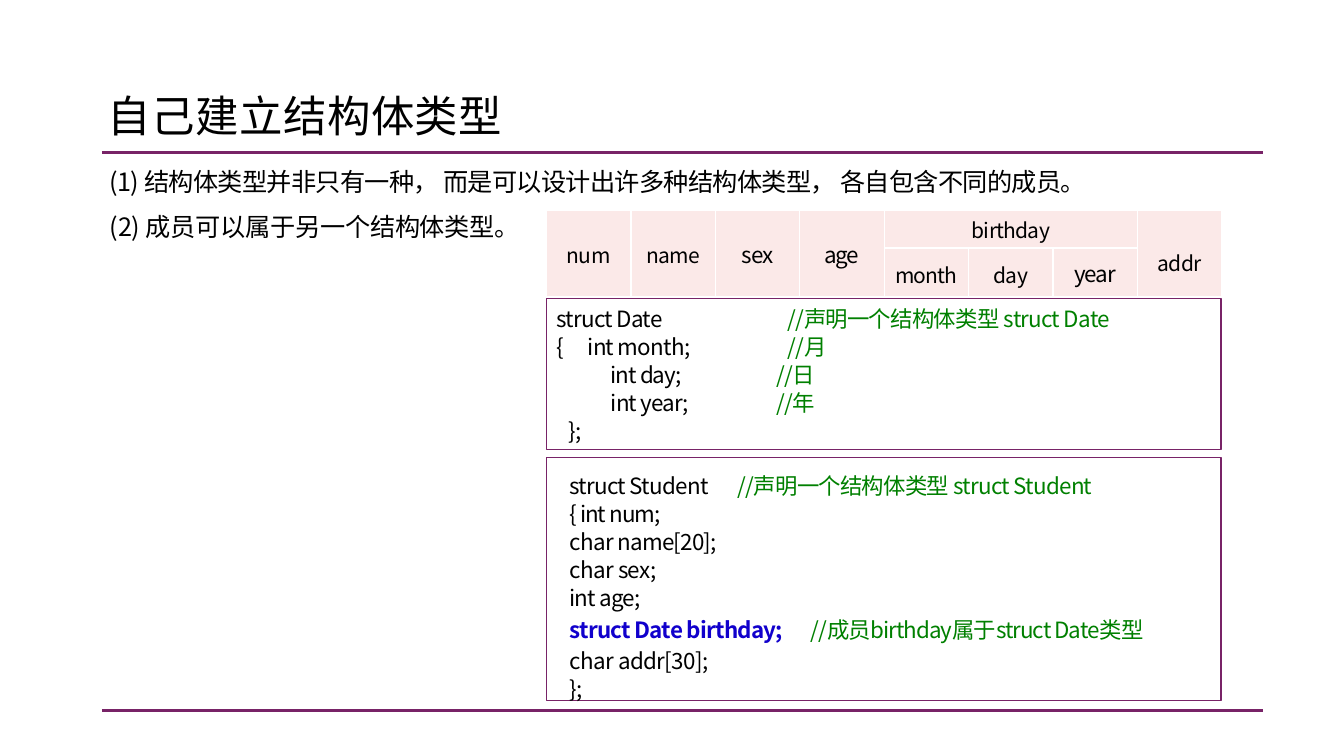
from lxml.etree import SubElement
from pptx import Presentation
from pptx.dml.color import RGBColor
from pptx.enum.shapes import MSO_CONNECTOR as CONN, MSO_SHAPE as SHAPE
from pptx.enum.text import MSO_ANCHOR as ANCHOR, MSO_AUTO_SIZE as AUTO, PP_ALIGN as ALIGN
from pptx.oxml.ns import qn
from pptx.util import Inches, Pt

FONT = "Noto Sans CJK SC"
COLORS = {"text": "000000", "rule": "782367", "cell": "FBE9E8",
          "white": "FFFFFF", "comment": "008000", "member": "1100CC"}
RGB = {name: RGBColor.from_string(value) for name, value in COLORS.items()}


def add_run(p, text, size, color="text", spacing=-0.5, bold=False):
    r = p.add_run()
    r.text = text
    for name, value in {"size": Pt(size), "bold": bold, "name": FONT}.items():
        setattr(r.font, name, value)
    r.font.color.rgb = RGB[color]
    rPr = r.font._element
    rPr.set("spc", str(round(spacing * 100)))
    SubElement(rPr, qn("a:ea")).set("typeface", FONT)


def set_frame(tf, left=0, top=0):
    frame = {"margin_left": Inches(left), "margin_top": Inches(top), "margin_right": 0,
             "margin_bottom": 0, "word_wrap": True, "auto_size": AUTO.NONE,
             "vertical_anchor": ANCHOR.TOP}
    for name, value in frame.items():
        setattr(tf, name, value)


prs = Presentation()
prs.slide_width, prs.slide_height = Inches(13.33), Inches(7.5)
s = prs.slides.add_slide(prs.slide_layouts[5])

# Title
title = s.shapes.title
title.left, title.top, title.width, title.height = [Inches(v) for v in (1.07, 0.88, 4.48, 0.55)]
set_frame(title.text_frame)
p = title.text_frame.paragraphs[0]
p.alignment = ALIGN.LEFT
add_run(p, "自己建立结构体类型", 31, spacing=0.4)

# Rules under the title and at the foot
for y in (1.51, 7.05):
    rule = s.shapes.add_connector(CONN.STRAIGHT, Inches(1.01), Inches(y), Inches(12.53), Inches(y))
    rule.line.color.rgb = RGB["rule"]
    rule.line.width = Pt(2)
    SubElement(rule._element.spPr, qn("a:effectLst"))

# Numbered points
tf = s.shapes.add_textbox(Inches(1.09), Inches(1.71), Inches(9.9), Inches(0.74)).text_frame
set_frame(tf)
points = [("(1) 结构体类型并非只有一种， 而是可以设计出许多种结构体类型， 各自包含不同的成员。", 0.8, -0.5),
          ("(2) 成员可以属于另一个结构体类型。", Pt(32.4), -0.2)]
for i, (text, line_spacing, spacing) in enumerate(points):
    p = tf.add_paragraph() if i else tf.paragraphs[0]
    p.line_spacing = line_spacing
    add_run(p, text, 18, spacing=spacing)

# Member table
table = s.shapes.add_table(2, 8, Inches(5.42), Inches(2.09), Inches(6.7), Inches(0.82)).table
table.first_row = table.horz_banding = False
for col in table.columns:
    col.width = Inches(6.7 / 8)
for row, height in zip(table.rows, (0.37, 0.45)):
    row.height = Inches(height)
for col in (0, 1, 2, 3, 7):
    table.cell(0, col).merge(table.cell(1, col))
table.cell(0, 4).merge(table.cell(0, 6))
labels = {(0, 0): ("num", 15, 1.03, -0.4), (0, 1): ("name", 15, 1.03, -0.5),
          (0, 2): ("sex", 16, 1.03, -0.8), (0, 3): ("age", 16, 1.03, -0.9),
          (0, 4): ("birthday", 15, 1, -0.5), (0, 7): ("addr", 15, 1.6, -0.4),
          (1, 4): ("month", 15, 1.15, -0.6), (1, 5): ("day", 15, 1.15, -0.4),
          (1, 6): ("year", 16, 1.02, -0.8)}
for row in range(2):
    for col in range(8):
        cell = table.cell(row, col)
        cell.margin_left = cell.margin_right = cell.margin_top = cell.margin_bottom = 0
        cell.vertical_anchor = ANCHOR.MIDDLE
        tcPr = cell._tc.get_or_add_tcPr()
        for side in ("lnL", "lnR", "lnT", "lnB"):
            ln = SubElement(tcPr, qn("a:" + side), w=str(Pt(1)))
            fill = SubElement(ln, qn("a:solidFill"))
            SubElement(fill, qn("a:srgbClr"), val=COLORS["white"])
        cell.fill.solid()
        cell.fill.fore_color.rgb = RGB["cell"]
        if (row, col) in labels:
            text, size, line_spacing, spacing = labels[row, col]
            p = cell.text_frame.paragraphs[0]
            p.alignment = ALIGN.CENTER
            p.line_spacing = line_spacing
            add_run(p, text, size, spacing=spacing)

# Code boxes: each line is (tab stops, space before, runs)
date_code = [
    ([2.29], 0, [("struct Date\t",), ("//声明一个结构体类型 struct Date", "comment")]),
    ([0.31, 2.29], 0, [("{\tint month;\t",), ("//月", "comment")]),
    ([0.54, 2.18], 0, [("\tint day;\t", "text", -0.7), ("//日", "comment")]),
    ([0.54, 2.18], 0, [("\tint year;\t", "text", -0.6), ("//年", "comment")]),
    ([0.12], 0, [("\t};", "text", -0.4)]),
]
student_code = [
    ([1.66], 0, [("struct Student\t",), ("//声明一个结构体类型 struct Student", "comment")]),
    ([], 0, [("{ int num;", "text", -0.7)]),
    ([], 0, [("char name[20];",)]),
    ([], 0, [("char sex;", "text", -0.4)]),
    ([], 0, [("int age;", "text", -0.6)]),
    ([2.39], 2.6, [("struct Date birthday;\t", "member", -0.5, True),
                   ("//成员birthday属于struct Date类型", "comment", -0.7)]),
    ([], 2.6, [("char addr[30];", "text", -0.4)]),
    ([], 0, [("};", "text", -0.4)]),
]
for top, height, inset, first, code in ((2.96, 1.5, 0.1, 0.06, date_code),
                                        (4.54, 2.41, 0.23, 0.13, student_code)):
    sp = s.shapes.add_shape(SHAPE.RECTANGLE, Inches(5.42), Inches(top), Inches(6.69), Inches(height))
    sp.shadow.inherit = False
    sp.fill.solid()
    sp.fill.fore_color.rgb = RGB["white"]
    sp.line.color.rgb = RGB["rule"]
    sp.line.width = Pt(1)
    tf = sp.text_frame
    set_frame(tf, inset, first)
    for i, (stops, before, runs) in enumerate(code):
        p = tf.add_paragraph() if i else tf.paragraphs[0]
        p.alignment = ALIGN.LEFT
        p.line_spacing = Pt(20)
        p.space_before = Pt(before)
        if stops:
            tabs = SubElement(p._p.get_or_add_pPr(), qn("a:tabLst"))
            for stop in stops:
                SubElement(tabs, qn("a:tab"), pos=str(Inches(stop)), algn="l")
        for run in runs:
            add_run(p, run[0], 16, *run[1:])

prs.save("out.pptx")
